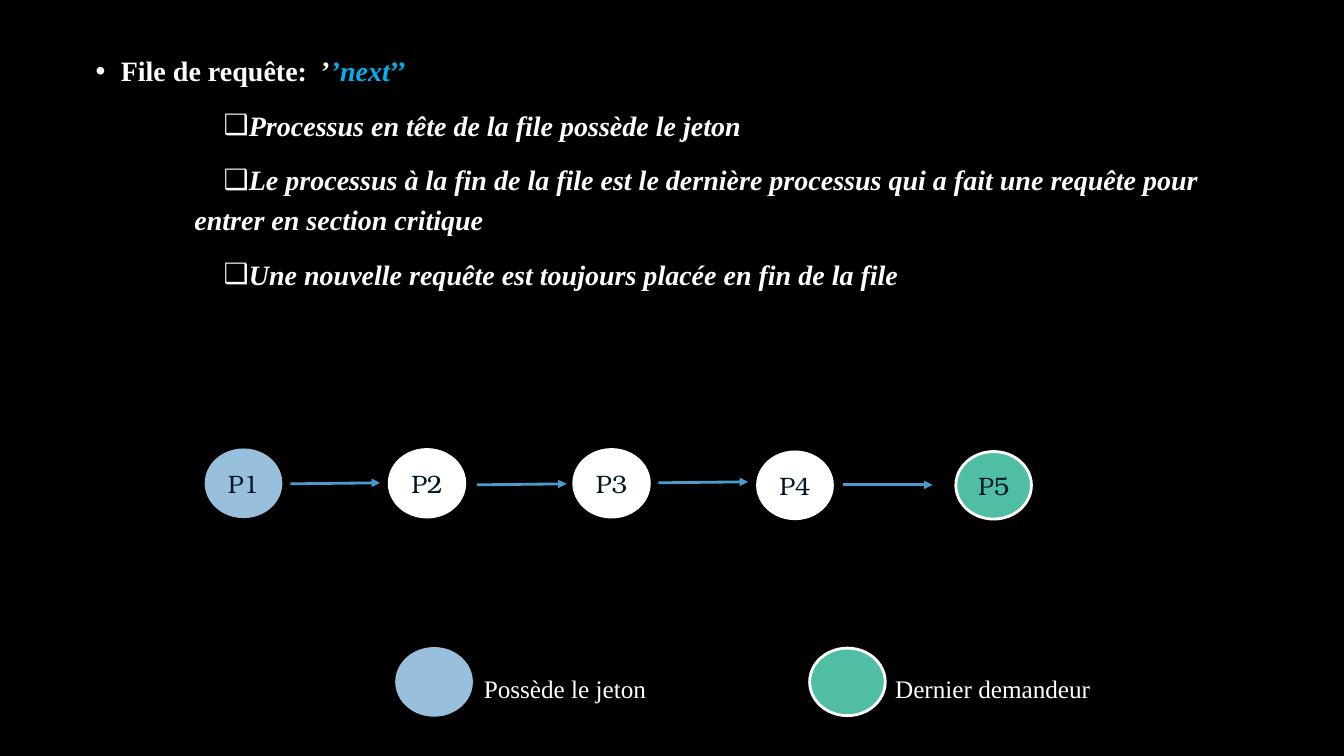
from lxml import etree
from pptx import Presentation
from pptx.dml.color import RGBColor as RGB
from pptx.enum.shapes import MSO_CONNECTOR as LINK, MSO_SHAPE as SHAPE
from pptx.enum.text import MSO_ANCHOR as ANCHOR, PP_ALIGN as ALIGN
from pptx.oxml.ns import qn
from pptx.util import Inches, Pt

BLACK = RGB(0x00, 0x00, 0x00)
WHITE = RGB(0xFF, 0xFF, 0xFF)
CYAN = RGB(0x00, 0xB0, 0xF0)
BLUE = RGB(0x98, 0xC0, 0xDD)
GREEN = RGB(0x50, 0xBE, 0xA3)
NAVY = RGB(0x01, 0x18, 0x29)
ARROW = RGB(0x4A, 0x9C, 0xCC)
SERIF = "Times New Roman"
ROUND = "TeX Gyre Bonum"
WIDE, HIGH = 0.75, 0.67
RULES = [
    "Processus en tête de la file possède le jeton",
    "Le processus à la fin de la file est le dernière processus qui a fait "
    "une requête pour entrer en section critique",
    "Une nouvelle requête est toujours placée en fin de la file",
]
NODES = [
    ("P1", 0, 0, BLUE, BLUE, 1.5),
    ("P2", 1.82, 0, WHITE, WHITE, 2),
    ("P3", 3.65, 0, WHITE, WHITE, 2),
    ("P4", 5.47, 0.02, WHITE, WHITE, 1.5),
    ("P5", 7.44, 0.02, GREEN, WHITE, 2),
]
LINKS = [(0.84, 0.34, 0.33), (2.69, 0.35, 0.34), (4.49, 0.33, 0.32), (6.32, 0.35, 0.35)]
KEYS = [
    ("Possède le jeton", 0, 0.77, 1.83, BLUE, BLUE, 1.5),
    ("Dernier demandeur", 4.1, 0.75, 2.16, GREEN, WHITE, 2),
]


def style(font, name, size, color):
    """Set the face, size and colour of a font."""
    font.name, font.size = name, Pt(size)
    font.color.rgb = color


def bullet(para, mark, left, indent):
    """Give a paragraph a bullet and its indents."""
    props = para._p.get_or_add_pPr()
    props.set("marL", str(Inches(left)))
    props.set("indent", str(Inches(indent)))
    etree.SubElement(props, qn("a:buFont")).set("typeface", "Arial")
    etree.SubElement(props, qn("a:buChar")).set("char", mark)


def item(para, mark, left, indent):
    """Format one paragraph of the list."""
    para.line_spacing, para.space_before = 1.2, Pt(10)
    bullet(para, mark, left, indent)
    style(para.font, SERIF, 20, WHITE)
    para.font.bold = True


def rules(slide, x, y, wide, high):
    """Write the heading and the rules of the queue."""
    frame = slide.shapes.add_textbox(*map(Inches, (x, y, wide, high))).text_frame
    frame.word_wrap = True
    head = frame.paragraphs[0]
    item(head, "•", 0.25, -0.25)
    for text, color, slant in [
        ("File de requête:\u00a0\u00a0’", WHITE, False),
        ("’next", CYAN, True),
        ("’’", CYAN, False),
    ]:
        run = head.add_run()
        run.text = text
        style(run.font, SERIF, 20, color)
        run.font.bold, run.font.italic = True, slant
    for text in RULES:
        para = frame.add_paragraph()
        para.text = text
        item(para, "❑", 0.98, 0.29)
        para.font.italic = True


def disc(slide, x, y, fill, edge, width, text=""):
    """Draw one process as a labelled ellipse."""
    shape = slide.shapes.add_shape(SHAPE.OVAL, *map(Inches, (x, y, WIDE, HIGH)))
    shape.shadow.inherit = False
    shape.fill.solid()
    shape.fill.fore_color.rgb = fill
    shape.line.color.rgb, shape.line.width = edge, Pt(width)
    frame = shape.text_frame
    frame.vertical_anchor = ANCHOR.MIDDLE
    para = frame.paragraphs[0]
    para.text, para.alignment = text, ALIGN.CENTER
    style(para.font, ROUND, 18, NAVY)


def arrow(slide, x, y, end_x, end_y):
    """Draw one arrow between two processes."""
    line = slide.shapes.add_connector(LINK.STRAIGHT, *map(Inches, (x, y, end_x, end_y)))
    line.line.color.rgb, line.line.width = ARROW, Pt(2)
    tail = etree.SubElement(line.line._get_or_add_ln(), qn("a:tailEnd"))
    tail.set("type", "triangle")
    etree.SubElement(line._element.spPr, qn("a:effectLst"))


def queue(slide, x, y):
    """Draw the processes and the arrows that join them."""
    for text, dx, dy, fill, edge, width in NODES:
        disc(slide, x + dx, y + dy, fill, edge, width, text)
    for dx, start, end in LINKS:
        arrow(slide, x + dx, y + start, x + dx + 0.89, y + end)


def legend(slide, x, y):
    """Explain the two colours under the queue."""
    for text, dx, gap, wide, fill, edge, width in KEYS:
        disc(slide, x + dx, y, fill, edge, width)
        spot = x + dx + gap, y + 0.2, wide, 0.4
        frame = slide.shapes.add_textbox(*map(Inches, spot)).text_frame
        frame.word_wrap = False
        para = frame.paragraphs[0]
        para.text = text
        style(para.font, SERIF, 18, WHITE)


def main():
    """Build the slide and save it."""
    deck = Presentation()
    deck.slide_width, deck.slide_height = Inches(13.33), Inches(7.5)
    slide = deck.slides.add_slide(deck.slide_layouts[6])
    slide.background.fill.solid()
    slide.background.fill.fore_color.rgb = BLACK
    rules(slide, 0.85, 0.42, 11.32, 4.04)
    queue(slide, 2.04, 4.46)
    legend(slide, 3.93, 6.43)
    deck.save("out.pptx")


if __name__ == "__main__":
    main()
